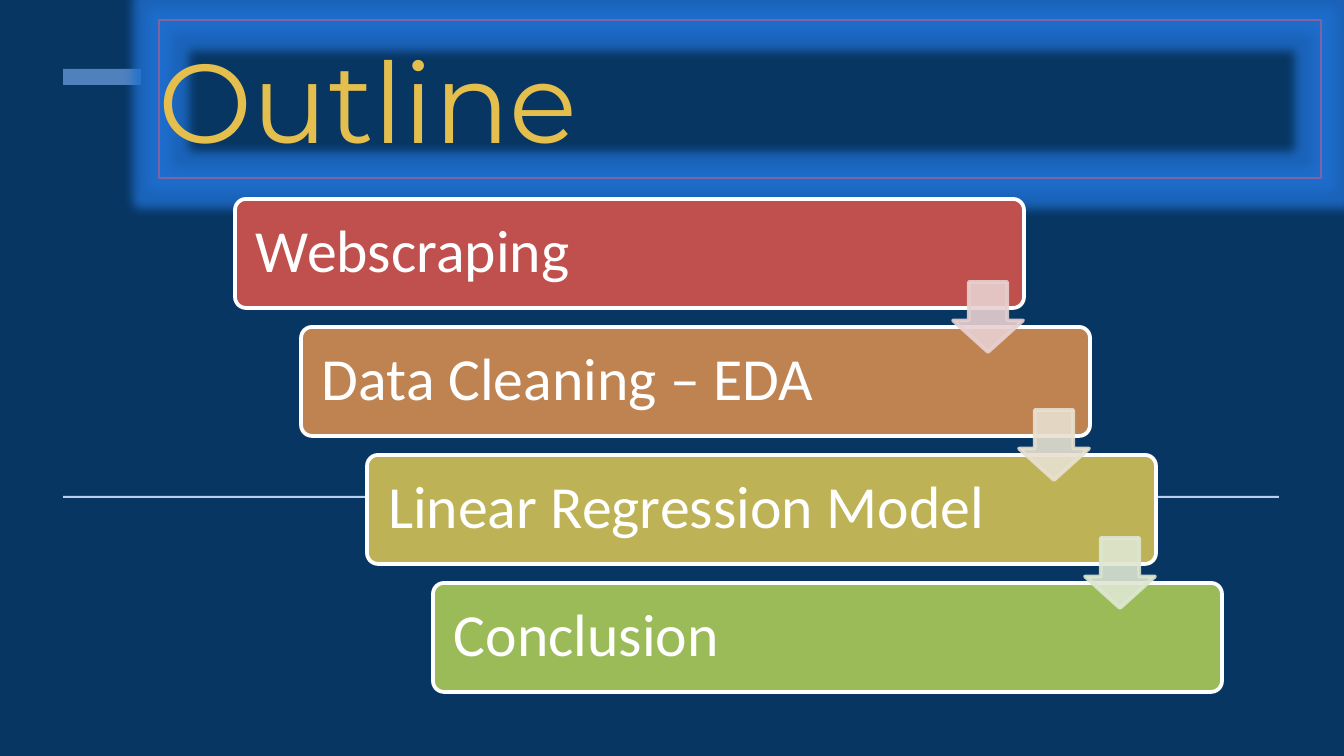
from lxml.etree import SubElement as Sub
from pptx import Presentation
from pptx.dml.color import RGBColor
from pptx.enum.shapes import MSO_SHAPE as Kind
from pptx.enum.text import MSO_ANCHOR as Anchor, PP_ALIGN as Align
from pptx.oxml.ns import qn
from pptx.util import Emu, Pt

SCALE = 914400 / 134.4
STEPS = [
    ("Webscraping", "C0504D", "E8D0D0"),
    ("Data Cleaning – EDA", "BE8351", "E8E1D1"),
    ("Linear Regression Model", "BDB255", "DEE7D1"),
    ("Conclusion", "9BBB59", None),
]


def px(num):
    return Emu(round(num * SCALE))


def paint(fmt, color):
    fmt.solid()
    fmt.fore_color.rgb = RGBColor.from_string(color)


def apply(item, values):
    for name, value in values.items():
        setattr(item, name, value)


def fade(fill, alpha):
    for tone in fill.iter(qn("a:srgbClr")):
        Sub(tone, qn("a:alpha"), val=str(alpha * 1000))


def add_box(slide, kind, area, fill=None, line=None, width=2, adjust=()):
    box = slide.shapes.add_shape(kind, *map(px, area))
    box.shadow.inherit = False
    for spot, value in enumerate(adjust):
        box.adjustments[spot] = value
    if fill:
        paint(box.fill, fill)
    else:
        box.fill.background()
    if line:
        paint(box.line.fill, line)
        box.line.width = Pt(width)
    else:
        box.line.fill.background()
    return box


def write(box, text, face, size, color, inset=0, space=1.0):
    frame = box.text_frame
    pad = px(inset)
    apply(frame, dict(word_wrap=True, vertical_anchor=Anchor.MIDDLE,
                      margin_left=pad, margin_right=pad,
                      margin_top=pad, margin_bottom=pad))
    para = frame.paragraphs[0]
    apply(para, dict(alignment=Align.LEFT, line_spacing=space))
    run = para.add_run()
    run.text = text
    apply(run.font, dict(name=face, size=Pt(size)))
    paint(run.font.fill, color)


def add_glow(box, color, size, alpha):
    effects = box.element.spPr.find(qn("a:effectLst"))
    glow = Sub(effects, qn("a:glow"), rad=str(px(size)))
    tone = Sub(glow, qn("a:srgbClr"), val=color)
    Sub(tone, qn("a:alpha"), val=str(alpha * 1000))


def add_title(slide):
    box = add_box(slide, Kind.RECTANGLE, (159, 20, 1162, 158),
                  line="8064A2", width=0.75)
    add_glow(box, "1F6FD0", 20, 80)
    write(box, "Outline", "Montserrat", 60, "E4BF4D")


def add_step(slide, left, top, text, fill):
    add_box(slide, Kind.ROUNDED_RECTANGLE, (left, top, 789, 109),
            fill, "FFFFFF", adjust=[0.1])
    label = slide.shapes.add_textbox(*map(px, (left + 3, top + 3, 646, 102)))
    write(label, text, "Calibri", 32, "FFFFFF", 18, 0.9)


def add_arrow(slide, left, top, color):
    arrow = add_box(slide, Kind.DOWN_ARROW, (left, top, 70, 70),
                    color, color, adjust=[0.55, 0.45])
    fade(arrow.element.spPr, 90)


def main():
    deck = Presentation()
    apply(deck, dict(slide_width=px(1344), slide_height=px(756)))
    slide = deck.slides.add_slide(deck.slide_layouts[6])
    paint(slide.background.fill, "073662")
    bar = add_box(slide, Kind.RECTANGLE, (94, 38, 16, 78), "4F81BD")
    bar.rotation = 90
    add_box(slide, Kind.RECTANGLE, (63, 496, 1216, 2), "B8D0ED")
    add_title(slide)
    places = [(235 + 66 * row, 199 + 128 * row) for row in range(len(STEPS))]
    for (left, top), (text, fill, _) in zip(places, STEPS):
        add_step(slide, left, top, text, fill)
    for (left, top), (_, _, tint) in zip(places, STEPS):
        if tint:
            add_arrow(slide, left + 718, top + 83, tint)
    deck.save("out.pptx")


if __name__ == "__main__":
    main()
